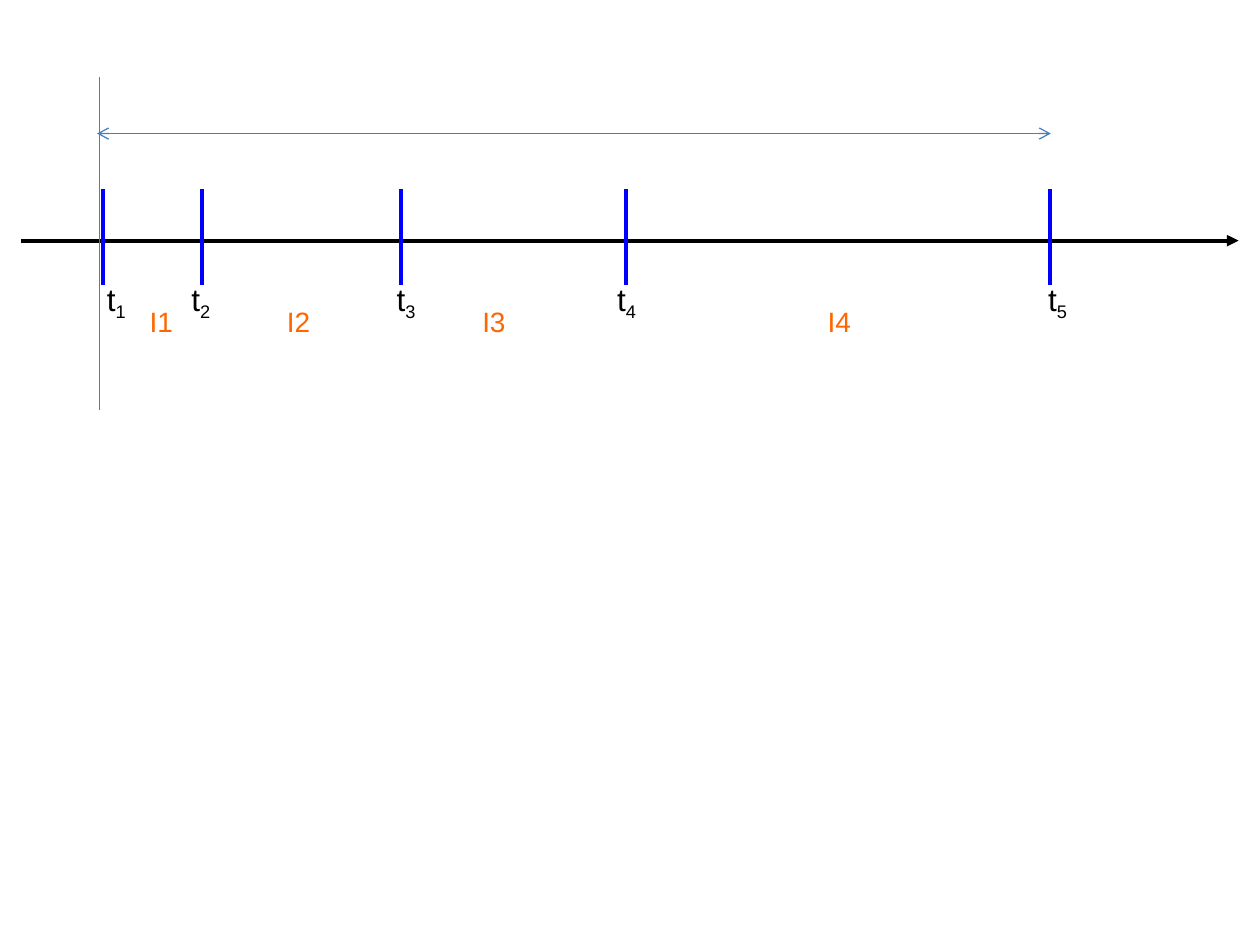
from dataclasses import dataclass

from lxml import etree
from pptx import Presentation
from pptx.dml.color import RGBColor
from pptx.enum import shapes, text
from pptx.oxml import ns
from pptx.util import Inches, Pt


@dataclass(frozen=True)
class Theme:
    """Colours, type sizes and line widths of the timeline."""
    font: str = "Arial"
    axis: str = "000000"
    tick: str = "0000FF"
    interval: str = "FF6600"
    span: str = "4B7EBC"
    time_size: float = 18
    interval_size: float = 16
    thick: float = 2.25
    thin: float = 0.75


def add_run(p, content, *, font, size, color, baseline=None):
    """Add a formatted run to a paragraph."""
    r = p.add_run()
    r.text = content
    r.font.name = font
    r.font.size = Pt(size)
    r.font.color.rgb = RGBColor.from_string(color)
    if baseline is not None:
        r._r.get_or_add_rPr().set("baseline", str(baseline * 1000))
    return r


class Timeline:
    """Draws timeline elements on a grid of 100 columns by 75 rows."""

    def __init__(self, prs, theme):
        """Add a blank slide and set the grid cell."""
        self.theme = theme
        self.slide = prs.slides.add_slide(prs.slide_layouts[6])
        self.col = prs.slide_width / 100
        self.row = prs.slide_height / 75

    def place(self, col, row):
        """Turn grid columns and rows into lengths."""
        return round(col * self.col), round(row * self.row)

    def line(self, start, end, color, width, head=None, tail=None):
        """Draw a straight line with optional arrowheads."""
        sp = self.slide.shapes.add_connector(
            shapes.MSO_CONNECTOR.STRAIGHT, *self.place(*start), *self.place(*end))
        sp.line.color.rgb = RGBColor.from_string(color)
        sp.line.width = Pt(width)
        ln = sp.line._get_or_add_ln()
        for tag, kind in (("a:headEnd", head), ("a:tailEnd", tail)):
            if kind:
                etree.SubElement(ln, ns.qn(tag)).set("type", kind)
        etree.SubElement(sp._element.spPr, ns.qn("a:effectLst"))
        return sp

    def label(self, at, size):
        """Add an unwrapped text box and return its text frame."""
        sp = self.slide.shapes.add_textbox(*self.place(*at), *self.place(*size))
        tf = sp.text_frame
        tf.word_wrap = False
        return tf

    def tick(self, col):
        """Draw a time mark across the axis."""
        self.line((col, 15), (col, 22.6), self.theme.tick, self.theme.thick)

    def time(self, col, number):
        """Write a time name with its subscript."""
        t = self.theme
        tf = self.label((col, 21.7), (3.6, 4))
        tf.auto_size = text.MSO_AUTO_SIZE.SHAPE_TO_FIT_TEXT
        style = dict(font=t.font, size=t.time_size, color=t.axis)
        add_run(tf.paragraphs[0], "t", **style)
        add_run(tf.paragraphs[0], str(number), baseline=-25, **style)

    def interval(self, col, number):
        """Write an interval name below the axis."""
        t = self.theme
        tf = self.label((col, 22.6), (5.2, 5.8))
        tf.vertical_anchor = text.MSO_ANCHOR.MIDDLE
        p = tf.paragraphs[0]
        p.alignment = text.PP_ALIGN.CENTER
        add_run(p, f"I{number}", font=t.font, size=t.interval_size, color=t.interval)


def main():
    """Build the timeline slide."""
    prs = Presentation()
    prs.slide_width, prs.slide_height = Inches(10), Inches(7.5)
    theme = Theme()
    timeline = Timeline(prs, theme)

    timeline.line((1.7, 19.1), (98.3, 19.1), theme.axis, theme.thick, tail="triangle")
    for col in (8.2, 16, 31.8, 49.7, 83.3):
        timeline.tick(col)
    for number, col in enumerate((10.2, 21.1, 36.6, 64), 1):
        timeline.interval(col, number)

    timeline.line((7.9, 6.1), (7.9, 32.5), theme.span, theme.thin)
    timeline.line((7.7, 10.6), (83.4, 10.6), theme.span, theme.thin,
                  head="arrow", tail="arrow")
    for number, col in enumerate((7.5, 14.2, 30.5, 48, 82.2), 1):
        timeline.time(col, number)

    prs.save("out.pptx")


main()
